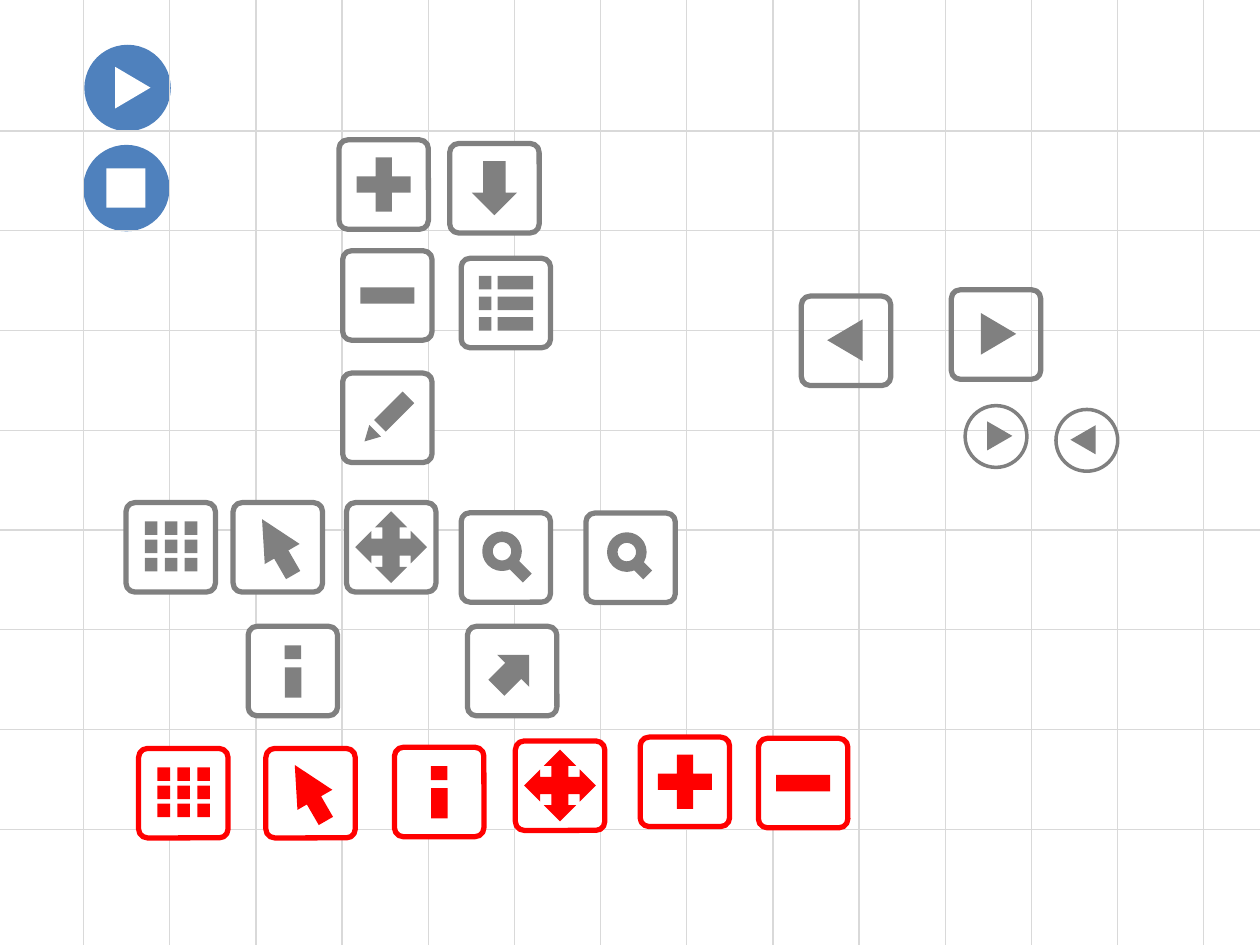
"""Build a sheet of toolbar and player icons laid out over a light grid."""
from lxml.etree import SubElement
from pptx import Presentation
from pptx.dml.color import RGBColor
from pptx.enum.shapes import MSO_CONNECTOR, MSO_SHAPE
from pptx.oxml.ns import qn
from pptx.util import Pt

COLORS = {"blue": "4F81BD", "white": "FFFFFF", "grid": "D9D9D9",
          "gray": "808080", "red": "FF0000"}
WIDTH, HEIGHT = 720, 540
GRID_X, STEP_X, COLUMNS = 47.8, 49.23, 14
GRID_Y, STEP_Y, ROWS = 74.9, 57, 8
RING_WIDTH = 6

RECT, OVAL, TRIANGLE = MSO_SHAPE.RECTANGLE, MSO_SHAPE.OVAL, MSO_SHAPE.ISOSCELES_TRIANGLE
ROUND, DOWN = MSO_SHAPE.ROUNDED_RECTANGLE, MSO_SHAPE.DOWN_ARROW

# frame: shape, size, fill, line width
FRAMES = {
    "button": (OVAL, 49.4, "blue", 0),
    "tile": (ROUND, 51.1, "white", 3),
    "open": (ROUND, 51.1, None, 3),
    "circle": (OVAL, 35.3, None, 2),
}

# glyph part: shape, left, top, width, height, rotation, adjustments
GLYPHS = {
    "play": [(TRIANGLE, 15.8, 14.4, 23.8, 20.2, 90, ())],
    "stop": [(RECT, 13.3, 13.5, 22.4, 22.4, 0, ())],
    "plus": [(MSO_SHAPE.CROSS, 10.1, 10.1, 30.9, 30.9, 90, (0.35,))],
    "minus": [(RECT, 10.1, 20.9, 30.9, 9.4, 0, ())],
    "down": [(DOWN, 12.6, 10.1, 25.9, 30.9, 0, ())],
    "pencil": [(RECT, 18, 17.3, 23, 9.4, 315, ()),
               (TRIANGLE, 10.8, 31.7, 9.4, 8.6, 225, ())],
    "list": [(ROUND, x, 10.1 + 11.8 * row, w, 7.7, 0, (0,))
             for row in range(3) for x, w in ((10.1, 7.2), (20.9, 20.2))],
    "move": [(MSO_SHAPE.QUAD_ARROW, 5, 5, 41, 41, 0, (0.238, 0.225, 0.225))],
    "cursor": [(TRIANGLE, 10.8, 7.9, 23, 23, 330, ()),
               (RECT, 23, 30.2, 15.1, 9.4, 60, ())],
    "info": [(RECT, 17, 27.4, 17.3, 9.4, 90, ()),
             (RECT, 21.6, 10.1, 7.9, 9.4, 90, ())],
    "zoom": [("ring", 15.1, 13.7, 16.6, 16.6, 0, ()),
             (RECT, 27.4, 29.5, 12.2, 7.2, 45, ())],
    "search": [("ring", 15.1, 14, 16.6, 16.6, 0, ()),
               (RECT, 28, 28.8, 8.6, 7.2, 45, ())],
    "share": [(DOWN, 13, 12.4, 25.9, 26.6, 225, ())],
    "grid": [(ROUND, 10.8 + 11.4 * col, 10.8 + 10.4 * row, 7.2, 7.7, 0, (0,))
             for row in range(3) for col in range(3)],
    "previous": [(TRIANGLE, 13, 15.1, 23.8, 20.2, 270, ())],
    "next": [(TRIANGLE, 15.1, 15.1, 23.8, 20.2, 90, ())],
    "small next": [(TRIANGLE, 11.5, 10.1, 16.6, 14.4, 90, ())],
    "small previous": [(TRIANGLE, 7.2, 10.1, 16.6, 14.4, 270, ())],
}

# icon: glyph, frame, color, left, top
BUTTONS = [("play", "button", "white", 48.2, 25.6), ("stop", "button", "white", 47.5, 82.8)]
ICONS = [
    ("plus", "tile", "gray", 193.7, 79.9),
    ("minus", "tile", "gray", 195.8, 143.3),
    ("down", "tile", "gray", 257, 82),
    ("pencil", "tile", "gray", 195.8, 213.2),
    ("list", "tile", "gray", 263.5, 147.6),
    ("move", "tile", "gray", 198, 287.2),
    ("cursor", "tile", "gray", 133.2, 287.2),
    ("info", "tile", "gray", 141.8, 357.9),
    ("zoom", "tile", "gray", 263.5, 293),
    ("search", "tile", "gray", 334.8, 293.2),
    ("share", "tile", "gray", 267.1, 357.9),
    ("grid", "tile", "gray", 72, 287.2),
    ("grid", "tile", "red", 79.2, 427.7),
    ("cursor", "tile", "red", 151.9, 427.7),
    ("info", "tile", "red", 225.4, 427),
    ("move", "tile", "red", 294.5, 423.4),
    ("plus", "tile", "red", 365.8, 421.2),
    ("minus", "tile", "red", 433.4, 421.9),
    ("previous", "open", "gray", 457.9, 169.2),
    ("next", "open", "gray", 543.6, 165.6),
    ("small next", "circle", "gray", 551.5, 231.8),
    ("small previous", "circle", "gray", 603.4, 234),
]


def rgb(name):
    return RGBColor.from_string(COLORS[name])


def add_part(shapes, kind, x, y, w, h, fill, line=None, width=0, rot=0, adj=()):
    sp = shapes.add_shape(kind, Pt(x), Pt(y), Pt(w), Pt(h))
    sp.shadow.inherit = False
    sp.rotation = rot
    for i, value in enumerate(adj):
        sp.adjustments[i] = value
    if fill:
        sp.fill.solid()
        sp.fill.fore_color.rgb = rgb(fill)
    else:
        sp.fill.background()
    if width:
        sp.line.color.rgb = rgb(line)
        sp.line.width = Pt(width)
    else:
        sp.line.fill.background()


def add_icon(slide, glyph, frame, color, x, y):
    shapes = slide.shapes.add_group_shape().shapes
    kind, size, fill, width = FRAMES[frame]
    adj = (0.099,) if kind == ROUND else ()
    add_part(shapes, kind, x, y, size, size, fill, color, width, adj=adj)
    for part, dx, dy, w, h, rot, adj in GLYPHS[glyph]:
        if part == "ring":
            add_part(shapes, OVAL, x + dx, y + dy, w, h, None, color, RING_WIDTH)
        else:
            add_part(shapes, part, x + dx, y + dy, w, h, color, rot=rot, adj=adj)


def add_grid_line(slide, x1, y1, x2, y2):
    line = slide.shapes.add_connector(MSO_CONNECTOR.STRAIGHT, Pt(x1), Pt(y1), Pt(x2), Pt(y2))
    line.line.color.rgb = rgb("grid")
    line.line.width = Pt(0.75)
    SubElement(line._element.spPr, qn("a:effectLst"))


def main():
    prs = Presentation()
    prs.slide_width, prs.slide_height = Pt(WIDTH), Pt(HEIGHT)
    slide = prs.slides.add_slide(prs.slide_layouts[6])
    for icon in BUTTONS:
        add_icon(slide, *icon)
    for row in range(ROWS):
        y = GRID_Y + STEP_Y * row
        add_grid_line(slide, WIDTH, y, 0, y)
    for col in range(COLUMNS):
        x = GRID_X + STEP_X * col
        add_grid_line(slide, x, 0, x, HEIGHT)
    for icon in ICONS:
        add_icon(slide, *icon)
    prs.save("out.pptx")


if __name__ == "__main__":
    main()
